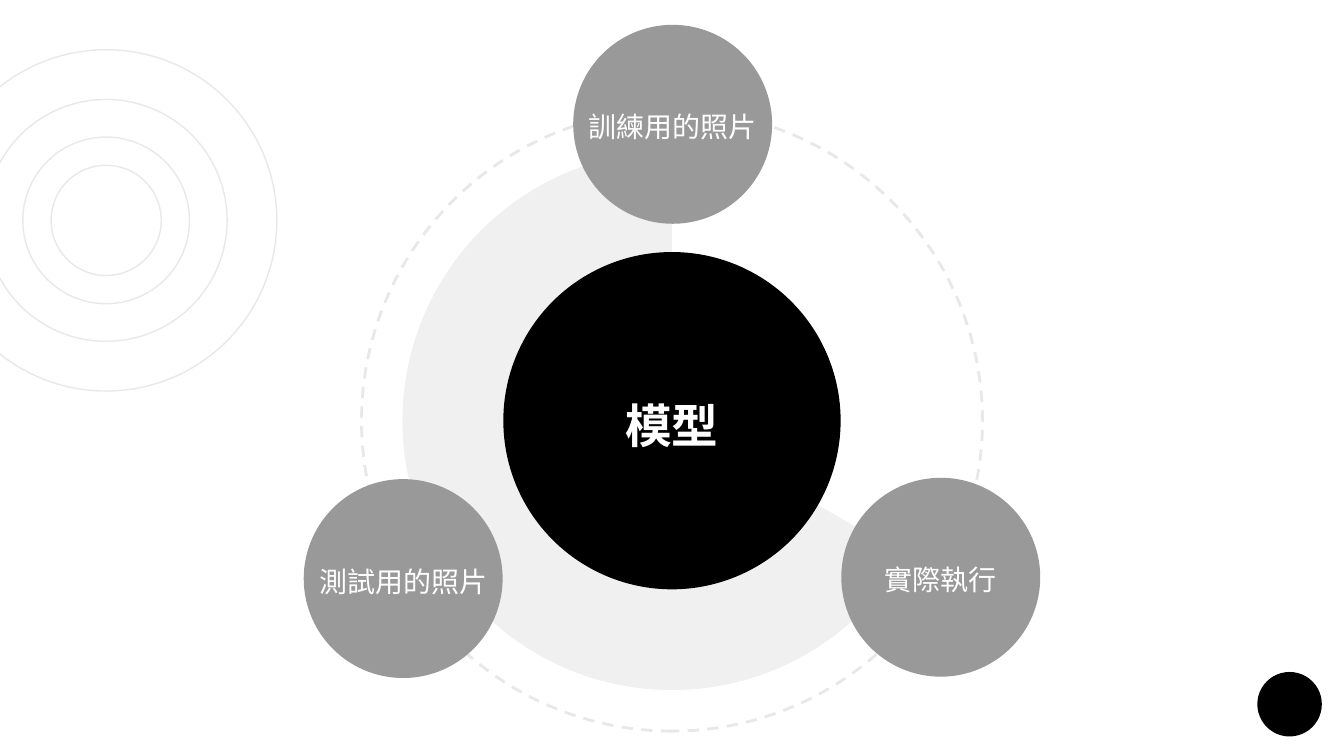
import pptx
import pptx.util
import pptx.dml.color
import pptx.enum.dml
import pptx.enum.shapes
import pptx.enum.text
import pptx.oxml.ns
from lxml import etree

PX = 4572  # 200 px to the inch
FONT = "Manrope"
COLORS = {
    "black": "000000",
    "white": "FFFFFF",
    "satellite": "999999",
    "ring": "E8E8E8",
}
SHAPES = pptx.enum.shapes.MSO_SHAPE


def rgb(name):
    return pptx.dml.color.RGBColor.from_string(COLORS[name])


def add_round(slide, center, diameter, fill=None, line_width=None, preset=SHAPES.OVAL):
    """Place a round preset by its centre, filled or outlined."""
    x, y = center
    left, top = (x - diameter // 2) * PX, (y - diameter // 2) * PX
    disc = slide.shapes.add_shape(preset, left, top, diameter * PX, diameter * PX)
    disc.shadow.inherit = False
    if fill:
        disc.fill.solid()
        disc.fill.fore_color.rgb = rgb(fill)
    else:
        disc.fill.background()
    if line_width:
        disc.line.color.rgb = rgb("ring")
        disc.line.width = pptx.util.Pt(line_width)
    else:
        disc.line.fill.background()
    return disc


def add_label(disc, text, size, bold=False):
    frame = disc.text_frame
    frame.word_wrap = False
    frame.vertical_anchor = pptx.enum.text.MSO_ANCHOR.MIDDLE
    frame.margin_left = frame.margin_right = 20 * PX
    frame.margin_top = frame.margin_bottom = 20 * PX
    paragraph = frame.paragraphs[0]
    paragraph.text = text
    paragraph.alignment = pptx.enum.text.PP_ALIGN.CENTER
    paragraph.line_spacing = 1.15
    paragraph.font.name = FONT
    paragraph.font.size = pptx.util.Pt(size)
    paragraph.font.bold = bold
    paragraph.font.color.rgb = rgb("white")


def set_opacity(shape, percent):
    color = shape.fill._xPr.find(".//" + pptx.oxml.ns.qn("a:srgbClr"))
    alpha = etree.SubElement(color, pptx.oxml.ns.qn("a:alpha"))
    alpha.set("val", str(percent * 1000))


def add_ripples(slide, left, top, size):
    center = left + size // 2, top + size // 2
    for diameter in (size, 248, 360, 164):
        add_round(slide, center, diameter, line_width=0.75)


def add_model_wheel(slide, left, top, size):
    """Dashed orbit and sector around a hub, with three satellites."""
    middle = left + size // 2, top + size // 2

    orbit = add_round(slide, middle, size, line_width=1.5)
    orbit.line.dash_style = pptx.enum.dml.MSO_LINE.DASH
    orbit.rotation = 270

    sector = add_round(slide, middle, 802, fill="black", preset=SHAPES.PIE)
    # One adjustment unit is 100000/60000 degrees: 30 to 270 degrees
    sector.adjustments[0] = 30 * 0.6
    sector.adjustments[1] = 270 * 0.6
    set_opacity(sector, 6)

    hub = add_round(slide, middle, 502, fill="black")
    add_label(hub, "模型", 25, bold=True)

    satellites = [
        ("訓練用的照片", 463, 21),
        ("測試用的照片", 62, 697),
        ("實際執行", 862, 695),
    ]
    for text, x, y in satellites:
        satellite = add_round(slide, (left + x, top + y), 296, fill="satellite")
        add_label(satellite, text, 15)


def main():
    deck = pptx.Presentation()
    deck.slide_width = 2000 * PX
    deck.slide_height = 1125 * PX
    slide = deck.slides.add_slide(deck.slide_layouts[6])
    slide.background.fill.solid()
    slide.background.fill.fore_color.rgb = rgb("white")

    add_ripples(slide, -96, 74, 508)
    add_round(slide, (1919, 1048), 96, fill="black")
    add_model_wheel(slide, 538, 164, 924)
    deck.save("out.pptx")


if __name__ == "__main__":
    main()
